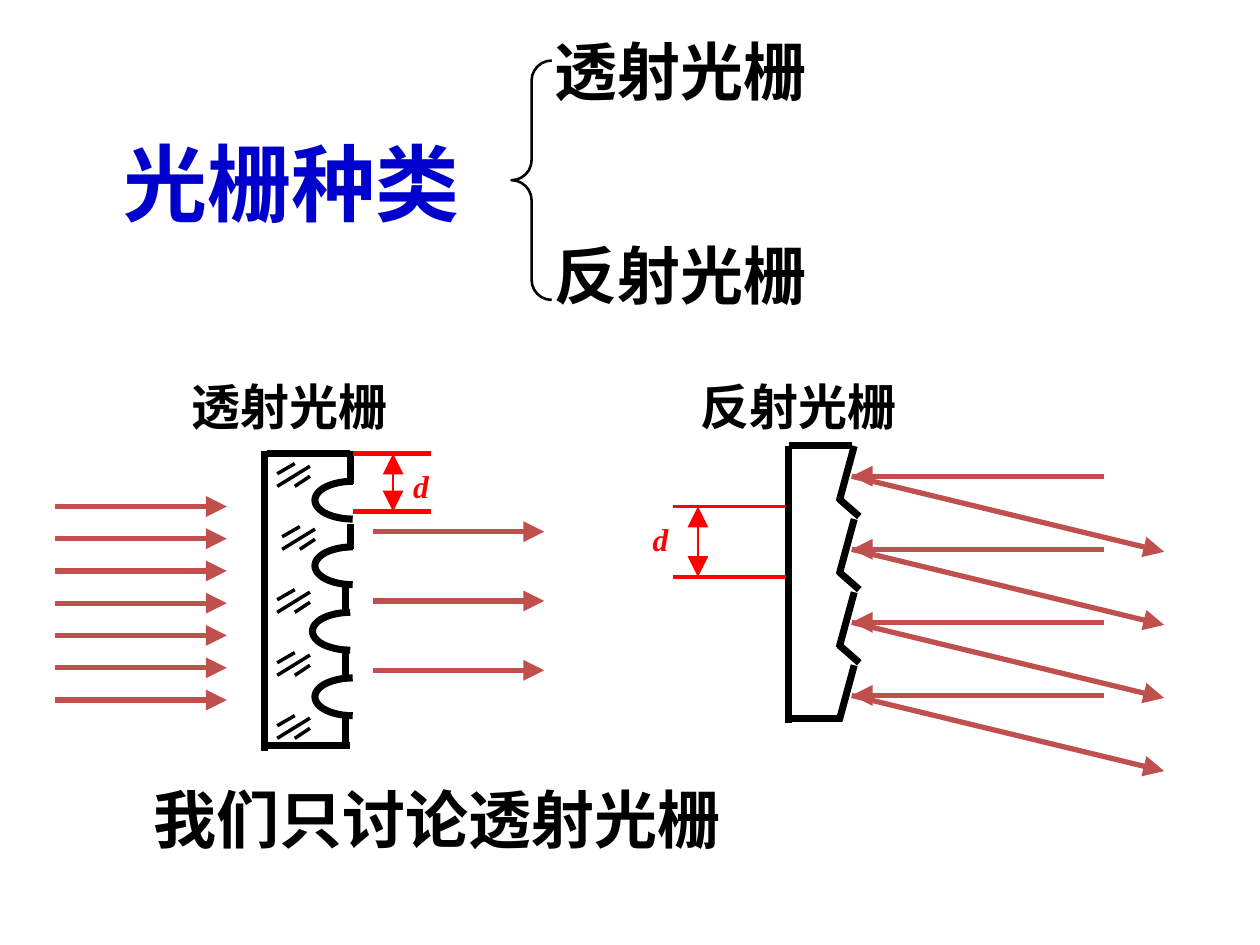
from lxml import etree
from pptx import Presentation
from pptx.dml.color import RGBColor
from pptx.enum import shapes, text
from pptx.oxml import ns
from pptx.util import Inches, Pt

BLACK = RGBColor(0x00, 0x00, 0x00)
BLUE = RGBColor(0x00, 0x00, 0xCC)
RED = RGBColor(0xFF, 0x00, 0x00)
RAY = RGBColor(0xC0, 0x50, 0x4D)
SANS = "Noto Sans CJK SC"
SERIF = "Times New Roman"


def put_text(sp, words, x, y, w, h, size, font=SANS, color=BLACK, italic=False,
             anchor=text.MSO_ANCHOR.MIDDLE, spacing=None):
    """Place a text shape and format its single bold run."""
    sp.left, sp.top, sp.width, sp.height = (Inches(v) for v in (x, y, w, h))
    tf = sp.text_frame
    tf.word_wrap = True
    tf.auto_size = text.MSO_AUTO_SIZE.NONE
    tf.vertical_anchor = anchor
    tf.margin_left = tf.margin_right = tf.margin_top = tf.margin_bottom = 0
    p = tf.paragraphs[0]
    p.alignment = text.PP_ALIGN.LEFT
    p.space_before = Pt(0)
    if spacing:
        p.line_spacing = spacing
    r = p.add_run()
    r.text = words
    f = r.font
    f.size, f.name, f.bold, f.italic = Pt(size), font, True, italic
    f.color.rgb = color
    ea = etree.SubElement(r._r.get_or_add_rPr(), ns.qn("a:ea"))
    ea.set("typeface", SANS)


def add_text(s, *args, **fmt):
    put_text(s.shapes.add_textbox(0, 0, 0, 0), *args, **fmt)


def add_line(s, x1, y1, x2, y2, color=BLACK, width=2, ends=()):
    """Draw a straight line; ends may name headEnd and tailEnd."""
    c = s.shapes.add_connector(shapes.MSO_CONNECTOR.STRAIGHT,
                               Inches(x1), Inches(y1), Inches(x2), Inches(y2))
    c.line.color.rgb = color
    c.line.width = Pt(width)
    ln = c.line._get_or_add_ln()
    for end in ends:
        etree.SubElement(ln, ns.qn("a:" + end)).set("type", "triangle")
    etree.SubElement(c._element.spPr, ns.qn("a:effectLst"))


def add_ray(s, x1, y1, x2, y2):
    add_line(s, x1, y1, x2, y2, RAY, 1.5, ("tailEnd",))


def add_curve(s, kind, x, y, w, h, width, adjustments):
    """Draw an unfilled preset outline."""
    sp = s.shapes.add_shape(kind, Inches(x), Inches(y), Inches(w), Inches(h))
    for i, value in enumerate(adjustments):
        sp.adjustments[i] = value
    sp.fill.background()
    sp.line.color.rgb = BLACK
    sp.line.width = Pt(width)
    sp.shadow.inherit = False


def add_period(s, x1, x2, x, top, bottom, width):
    """Mark the grating period d between two red lines."""
    for y in (top, bottom):
        add_line(s, x1, y, x2, y, RED, width)
    add_line(s, x, top, x, bottom, RED, 0.75, ("headEnd", "tailEnd"))


def add_hatch(s, x, y):
    for x1, y1, x2, y2 in ((0.13, 0.05, 0.07, 0.09), (0.07, 0, 0, 0.04),
                           (0.13, 0.01, 0, 0.09)):
        add_line(s, x + x1, y + y1, x + x2, y + y2, width=1)


def add_overview(s):
    put_text(s.shapes.title, "光栅种类", 0.49, 0.47, 1.8, 0.5, 24, color=BLUE)
    add_curve(s, shapes.MSO_SHAPE.LEFT_BRACE, 2.03, 0.24, 0.16, 0.95, 0.75, (0.5, 0.5))
    for words, y in (("透射光栅", 0.13), ("反射光栅", 0.94)):
        add_text(s, words, 2.2, y, 1.1, 0.3, 18)


def add_transmission(s):
    add_text(s, "透射光栅", 0.76, 1.47, 1.2, 0.28, 14, font=SERIF)
    # Incoming and transmitted rays
    for i in range(7):
        y = 2.01 + 0.128 * i
        add_ray(s, 0.22, y, 0.9, y)
    for i in range(3):
        y = 2.11 + 0.275 * i
        add_ray(s, 1.48, y, 2.16, y)
    # Plate edges and the flat parts between grooves
    add_line(s, 1.05, 1.79, 1.05, 2.98)
    for y in (1.8, 2.96):
        add_line(s, 1.06, y, 1.39, y)
    for x, y1, y2 in ((1.39, 1.79, 1.92), (1.39, 2.08, 2.18), (1.37, 2.33, 2.44),
                      (1.37, 2.58, 2.68), (1.37, 2.84, 2.97)):
        add_line(s, x, y1, x, y2)
    # Grooves: left halves of ellipses
    for i, x in enumerate((1.25, 1.25, 1.24, 1.25)):
        add_curve(s, shapes.MSO_SHAPE.ARC, x, 1.91 + 0.26 * i, 0.3, 0.15, 2, (54, 162))
    # Glass hatching
    for i, x in enumerate((1.1, 1.12, 1.1, 1.1, 1.1)):
        add_hatch(s, x, 1.84 + 0.25 * i)
    add_period(s, 1.4, 1.71, 1.56, 1.8, 2.03, 1.25)
    add_text(s, "d", 1.64, 1.83, 0.13, 0.2, 9, font=SERIF, color=RED, italic=True)


def add_reflection(s):
    add_text(s, "反射光栅", 2.78, 1.47, 1.04, 0.28, 14, font=SERIF)
    # Rays falling on each facet and leaving it
    for i in range(4):
        y = 1.89 + 0.29 * i
        add_ray(s, 4.38, y, 3.38, y)
        add_ray(s, 3.38, y, 4.62, y + 0.3)
    # Plate edges
    add_line(s, 3.13, 1.77, 3.13, 2.87)
    add_line(s, 3.13, 1.77, 3.38, 1.77)
    add_line(s, 3.13, 2.85, 3.34, 2.85)
    # Sawtooth side
    for i in range(4):
        y = 1.77 + 0.29 * i
        add_line(s, 3.39, y, 3.33, y + 0.22)
        if i < 3:
            add_line(s, 3.33, y + 0.21, 3.41, y + 0.28)
    add_period(s, 2.67, 3.12, 2.77, 2.01, 2.29, 1)
    add_text(s, "d", 2.59, 2.04, 0.26, 0.2, 9, font=SERIF, color=RED, italic=True)


def main():
    prs = Presentation()
    prs.slide_width, prs.slide_height = Inches(5), Inches(3.75)
    s = prs.slides.add_slide(prs.slide_layouts[5])
    add_overview(s)
    add_reflection(s)
    add_transmission(s)
    # Closing remark
    add_text(s, "我们只讨论透射光栅", 0.61, 3.18, 3.15, 0.21, 18,
             anchor=text.MSO_ANCHOR.TOP, spacing=0.7)
    prs.save("out.pptx")


if __name__ == "__main__":
    main()
